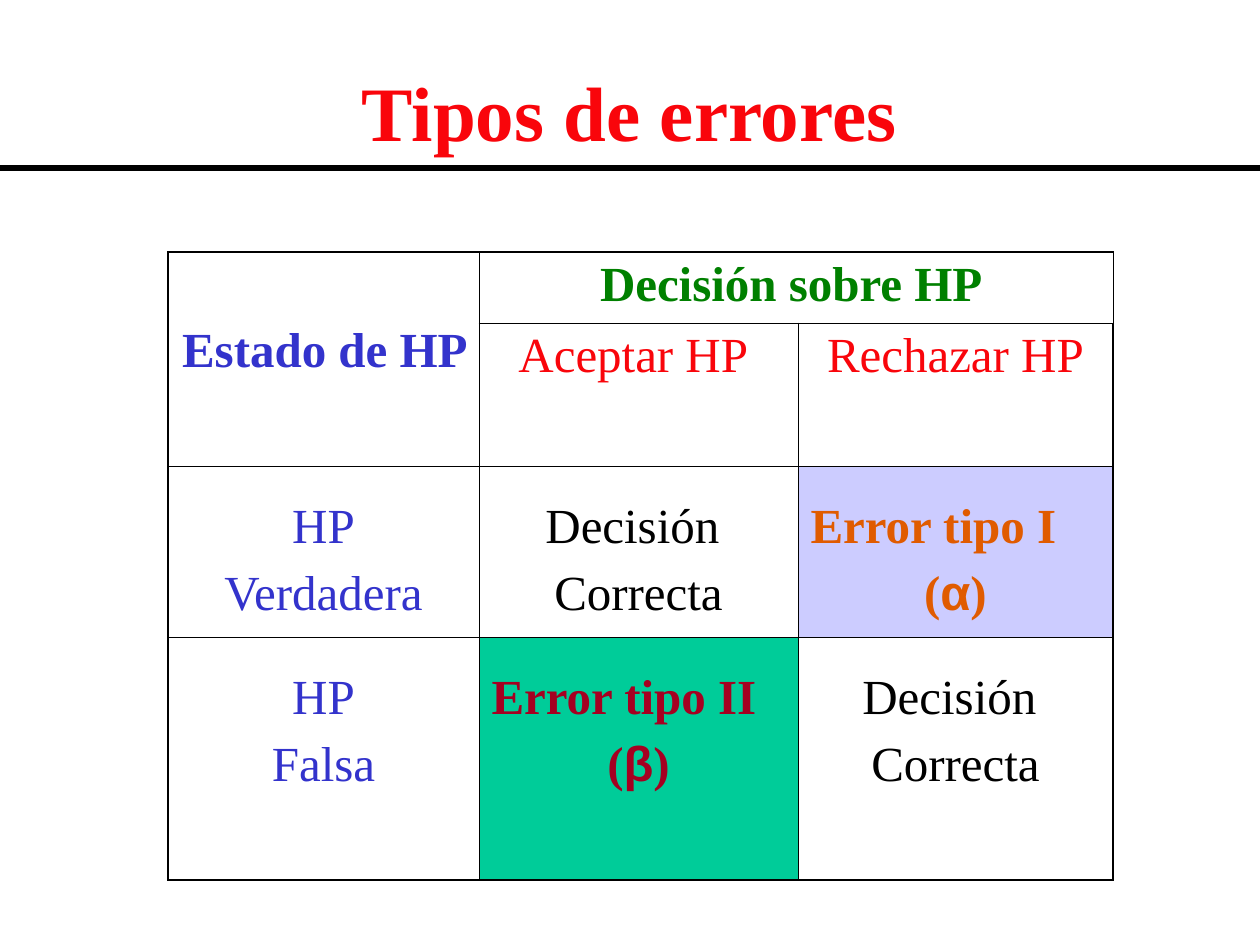
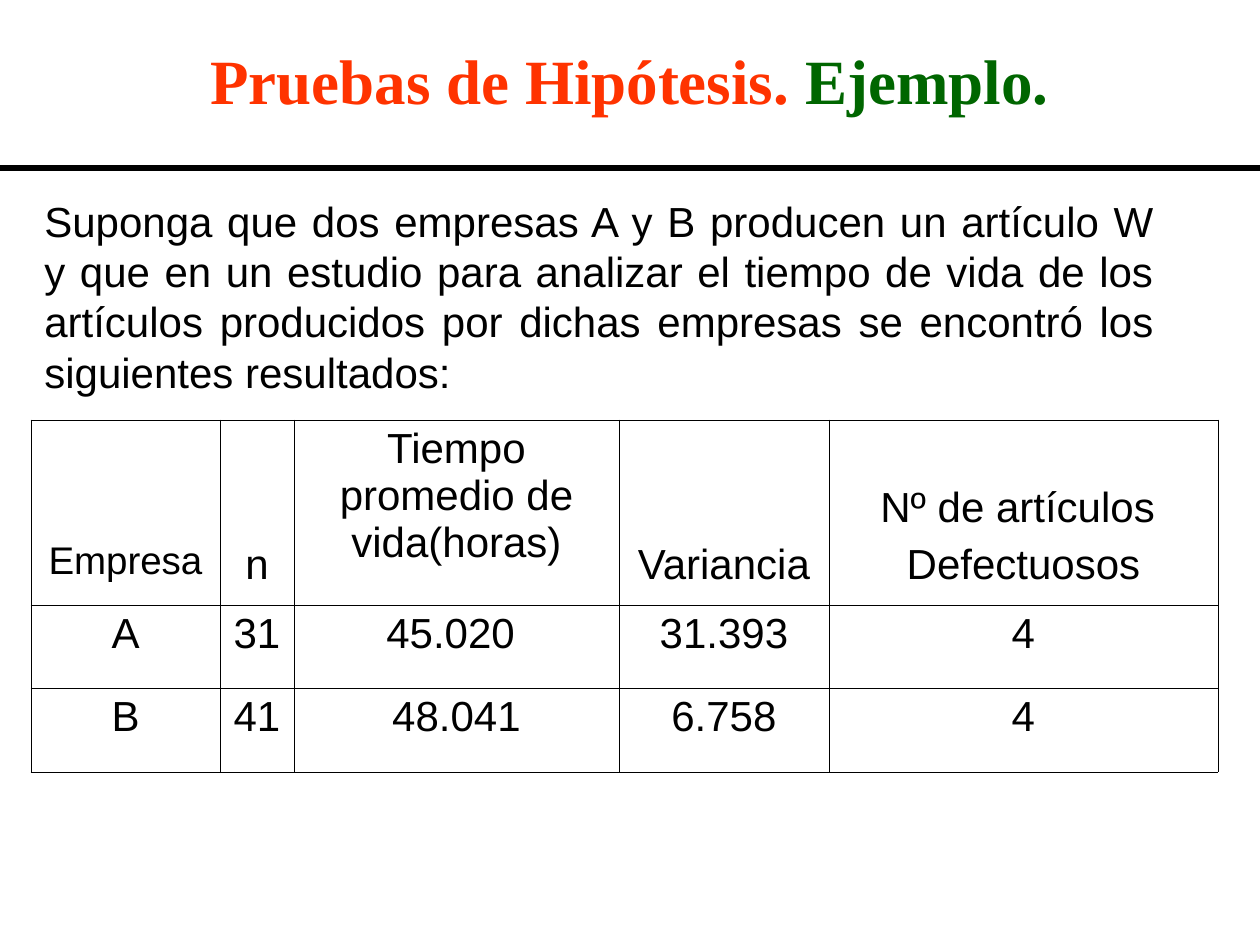
from dataclasses import dataclass

from lxml import etree
from pptx import Presentation
from pptx import util as u
from pptx.dml.color import RGBColor
from pptx.enum import shapes, text
from pptx.oxml import ns

PX_PER_INCH = 126
SLIDE_WIDTH, SLIDE_HEIGHT = 1260, 945
TITLE_ONLY = 5

BLACK = RGBColor(0x00, 0x00, 0x00)
RED = RGBColor(0xF9, 0x05, 0x0B)
ORANGE_RED = RGBColor(0xFF, 0x33, 0x00)
DARK_GREEN = RGBColor(0x00, 0x66, 0x00)
GREEN = RGBColor(0x00, 0x80, 0x00)
BLUE = RGBColor(0x33, 0x33, 0xCC)
ORANGE = RGBColor(0xE0, 0x5B, 0x00)
CRIMSON = RGBColor(0xA5, 0x00, 0x21)
LAVENDER = RGBColor(0xCC, 0xCC, 0xFF)
TEAL = RGBColor(0x00, 0xCC, 0x99)

SERIF = "Times New Roman"
SANS = "Arial"
CENTER = text.PP_ALIGN.CENTER
LEFT = text.PP_ALIGN.LEFT
THIN, THICK = 0.45, 1.08


@dataclass
class CellText:
    """Lines of one cell; top is the inset above the first line, in px."""
    lines: list
    color: RGBColor = BLACK
    size: float = 24
    font: str = SANS
    bold: bool = False
    top: int = 6
    space: float = 6
    first_align: text.PP_ALIGN = CENTER
    fill: RGBColor = None


def px(length):
    return u.Emu(round(length * 914400 / PX_PER_INCH))


def format_run(run, font, size, color, bold=False):
    run.font.name = font
    run.font.size = u.Pt(size)
    run.font.color.rgb = color
    run.font.bold = bold


def add_title(slide, top, height, size, parts):
    """Fill the title with (wording, colour) parts."""
    title = slide.shapes.title
    title.left, title.top = px(94), px(top)
    title.width, title.height = px(1071), px(height)
    frame = title.text_frame
    frame.vertical_anchor = text.MSO_ANCHOR.MIDDLE
    frame.auto_size = text.MSO_AUTO_SIZE.NONE
    paragraph = frame.paragraphs[0]
    paragraph.alignment = CENTER
    for wording, color in parts:
        run = paragraph.add_run()
        run.text = wording
        format_run(run, SERIF, size, color, bold=True)


def add_rule(slide):
    rule = slide.shapes.add_connector(
        shapes.MSO_CONNECTOR.STRAIGHT, 0, px(168), px(SLIDE_WIDTH), px(168))
    rule.line.color.rgb = BLACK
    rule.line.width = u.Pt(3)
    etree.SubElement(rule._element.spPr, ns.qn("a:effectLst"))


def add_body(slide, wording):
    box = slide.shapes.add_textbox(px(32), px(189), px(1134), px(214))
    box.text_frame.word_wrap = True
    paragraph = box.text_frame.paragraphs[0]
    paragraph.text = wording
    paragraph.alignment = text.PP_ALIGN.JUSTIFY
    paragraph.line_spacing = u.Pt(28.8)
    format_run(paragraph.runs[0], SANS, 24, BLACK)


def set_border(cell, side, width):
    properties = cell._tc.get_or_add_tcPr()
    line = etree.SubElement(properties, ns.qn(f"a:ln{side}"), w=str(u.Pt(width)))
    fill = etree.SubElement(line, ns.qn("a:solidFill"))
    etree.SubElement(fill, ns.qn("a:srgbClr"), val=str(BLACK))


def write_cell(cell, content):
    cell.margin_top = px(content.top)
    frame = cell.text_frame
    frame.text = "\n".join(content.lines)
    for index, paragraph in enumerate(frame.paragraphs):
        paragraph.alignment = CENTER if index else content.first_align
        if index:
            paragraph.space_before = u.Pt(content.space)
        for run in paragraph.runs:
            format_run(run, content.font, content.size, content.color, content.bold)
    if content.fill is not None:
        cell.fill.solid()
        cell.fill.fore_color.rgb = content.fill


def add_table(slide, left, top, widths, heights, rows, outer=THIN, merges=()):
    """Build a ruled table; None in rows marks a cell covered by a merge."""
    table = slide.shapes.add_table(
        len(heights), len(widths), px(left), px(top),
        px(sum(widths)), px(sum(heights))).table
    table.first_row = table.horz_banding = False
    for column, width in zip(table.columns, widths):
        column.width = px(width)
    for row, height in zip(table.rows, heights):
        row.height = px(height)
    for first, last in merges:
        table.cell(*first).merge(table.cell(*last))
    for y, row in enumerate(rows):
        for x, content in enumerate(row):
            cell = table.cell(y, x)
            edges = {"L": x == 0, "R": x == len(widths) - 1,
                     "T": y == 0, "B": y == len(heights) - 1}
            for side, on_edge in edges.items():
                set_border(cell, side, outer if on_edge else THIN)
            cell.fill.background()
            if content:
                write_cell(cell, content)
    return table


def serif_cell(*lines, **style):
    return CellText(list(lines), size=28, font=SERIF, space=7, **style)


def outcome_cell(*lines, **style):
    return serif_cell(*lines, top=34, **style)


def error_cell(name, letter, color, fill):
    return outcome_cell(name, f"({letter})", color=color, fill=fill,
                        bold=True, first_align=LEFT)


def set_greek_letter(cell, letter):
    """Split the bracketed letter into runs so that it alone is sans serif."""
    paragraph = cell.text_frame.paragraphs[1]
    color = paragraph.runs[0].font.color.rgb
    paragraph.text = ""
    for wording, font in (("(", SERIF), (letter, SANS), (")", SERIF)):
        run = paragraph.add_run()
        run.text = wording
        format_run(run, font, 28, color, bold=True)


def add_error_types_slide(presentation):
    slide = presentation.slides.add_slide(presentation.slide_layouts[TITLE_ONLY])
    add_title(slide, 32, 158, 44, [("Tipos de errores", RED)])
    correct = outcome_cell("Decisión ", "Correcta")
    rows = [
        [serif_cell("Estado de HP ", color=BLUE, bold=True, top=72),
         serif_cell("Decisión sobre HP ", color=GREEN, bold=True), None],
        [None, serif_cell("Aceptar HP ", color=RED),
         serif_cell("Rechazar HP", color=RED)],
        [outcome_cell("HP", "Verdadera", color=BLUE), correct,
         error_cell("Error tipo I", "α", ORANGE, LAVENDER)],
        [outcome_cell("HP", "Falsa", color=BLUE),
         error_cell("Error tipo II", "β", CRIMSON, TEAL), correct],
    ]
    table = add_table(slide, 168, 252, [311, 319, 315], [71, 143, 171, 243], rows,
                      outer=THICK, merges=[((0, 0), (1, 0)), ((0, 1), (0, 2))])
    set_greek_letter(table.cell(2, 2), "α")
    set_greek_letter(table.cell(3, 1), "β")
    add_rule(slide)


def add_example_slide(presentation):
    slide = presentation.slides.add_slide(presentation.slide_layouts[TITLE_ONLY])
    add_title(slide, 0, 158, 36, [("Pruebas de Hipótesis. ", ORANGE_RED),
                                  ("Ejemplo.", DARK_GREEN)])
    add_rule(slide)
    add_body(slide, "Suponga que dos empresas A y B producen un artículo W y que "
                    "en un estudio para analizar el tiempo de vida de los artículos "
                    "producidos por dichas empresas se encontró los siguientes "
                    "resultados: ")
    header = [CellText(["Empresa"], size=22, top=120),
              CellText(["n"], top=121),
              CellText(["Tiempo promedio de vida(horas)"]),
              CellText(["Variancia"], top=121),
              CellText(["Nº de artículos ", "Defectuosos"], top=64)]
    companies = [["A", "31", "45.020 ", "31.393", "4"],
                 ["B", "41", "48.041", "6.758", "4"]]
    rows = [header] + [[CellText([value]) for value in row] for row in companies]
    add_table(slide, 31, 420, [189, 74, 325, 210, 389], [185, 83, 84], rows)


def main():
    presentation = Presentation()
    presentation.slide_width = px(SLIDE_WIDTH)
    presentation.slide_height = px(SLIDE_HEIGHT)
    add_error_types_slide(presentation)
    add_example_slide(presentation)
    presentation.save("out.pptx")


if __name__ == "__main__":
    main()
